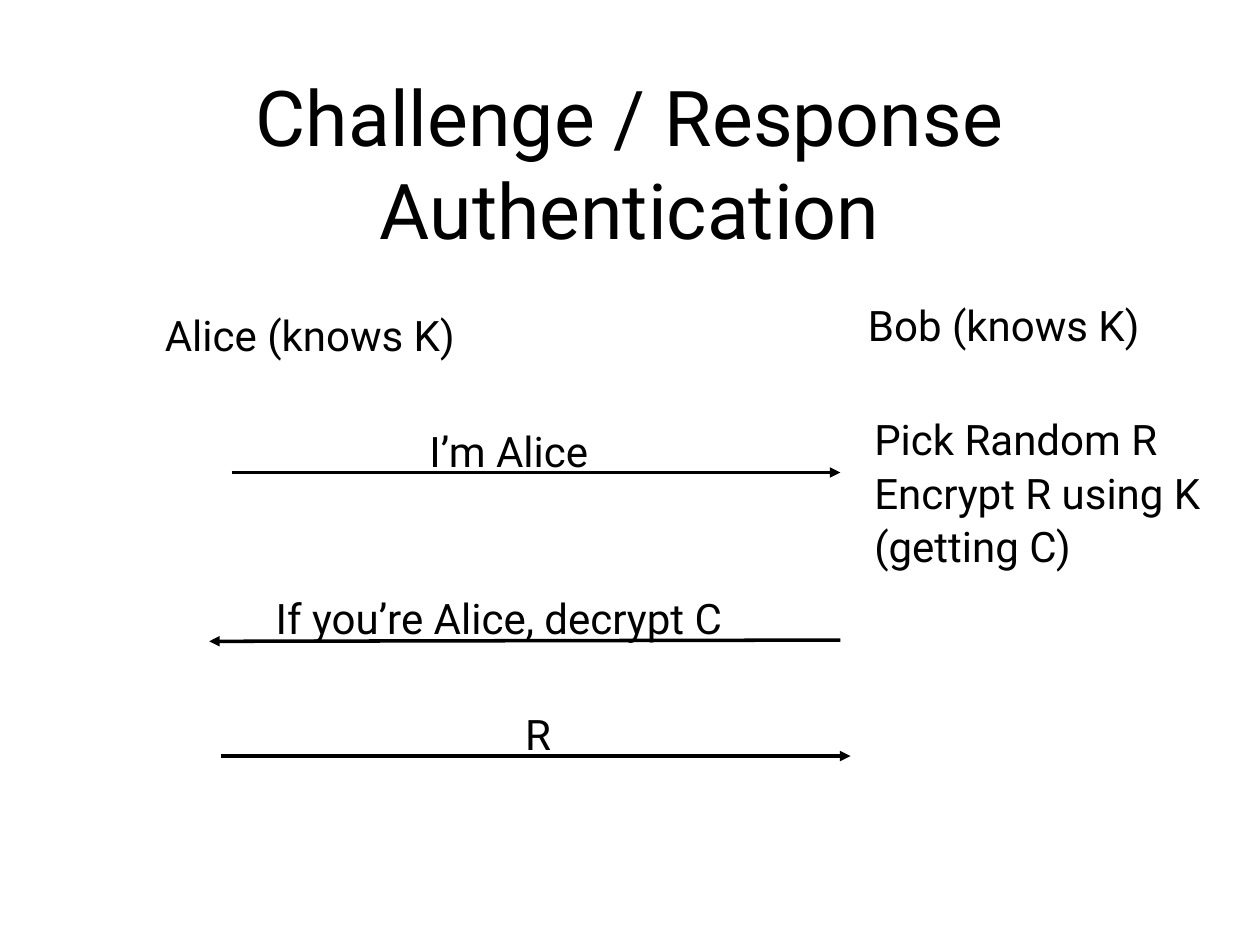
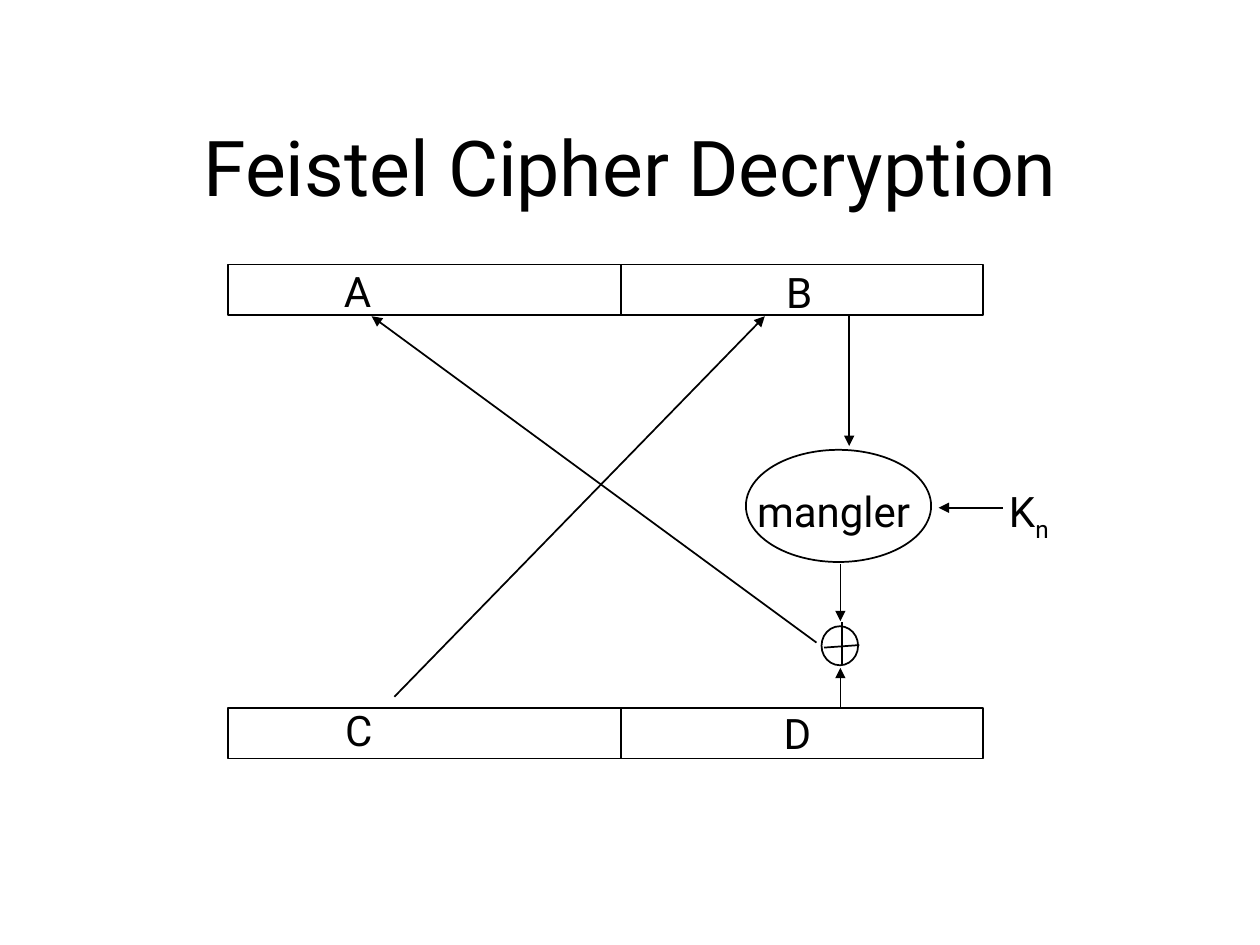
"""Build two slides on challenge/response authentication and Feistel decryption."""
from dataclasses import dataclass

from lxml.etree import SubElement
from pptx import Presentation
from pptx.dml.color import RGBColor
from pptx.enum.shapes import MSO_CONNECTOR as Connector, MSO_SHAPE as Shape
from pptx.enum.text import MSO_ANCHOR as Anchor, MSO_AUTO_SIZE as AutoSize, PP_ALIGN as Align
from pptx.oxml.ns import qn
from pptx.util import Inches, Pt


@dataclass(frozen=True)
class Theme:
    ink: RGBColor = RGBColor(0, 0, 0)
    font: str = "Roboto"
    title_size: int = 44
    label_size: int = 24
    thin: float = 1
    thick: float = 2
    first_spacing: float = 1.01
    next_spacing: float = 1.06


theme = Theme()


def write_text(frame, lines, size, align=None, **frame_format):
    """Fill a text frame with one paragraph per line."""
    for name, value in frame_format.items():
        setattr(frame, name, value)
    font_format = {"name": theme.font, "size": Pt(size), "bold": False}
    for index, line in enumerate(lines):
        para = frame.add_paragraph() if index else frame.paragraphs[0]
        para.text = line
        para.alignment = align
        para.line_spacing = theme.next_spacing if index else theme.first_spacing
        for span in para.runs:
            for name, value in font_format.items():
                setattr(span.font, name, value)
            span.font.color.rgb = theme.ink


def add_line(page, start, end, width, arrow=True):
    """Draw a straight line, with an arrowhead at its end if asked."""
    line = page.shapes.add_connector(Connector.STRAIGHT, *map(Inches, start + end))
    line.line.color.rgb = theme.ink
    line.line.width = Pt(width)
    properties = line._element.spPr
    if arrow:
        SubElement(properties.find(qn("a:ln")), qn("a:tailEnd"), type="triangle")
    SubElement(properties, qn("a:effectLst"))


deck = Presentation()
deck.slide_width, deck.slide_height = Inches(10), Inches(7.5)
title_only = deck.slide_layouts[5]

slide_texts = [
    ("Challenge / Response Authentication", (0.75, 0.48, 8.5, 1.61), [
        (["Alice (knows K)"], (1.21, 2.4, 2.52, 0.51)),
        (["Bob (knows K)"], (6.79, 2.32, 2.41, 0.51)),
        (["I’m Alice"], (3.31, 3.32, 1.85, 0.51)),
        (["Pick Random R", "Encrypt R using K", "(getting C)"], (6.84, 3.23, 2.92, 1.35)),
        (["If you’re Alice, decrypt C"], (2.09, 4.65, 3.96, 0.51)),
        (["R"], (4.07, 5.57, 0.41, 0.51)),
    ]),
    ("Feistel Cipher Decryption", (0.81, 0.7, 8.39, 1.23), [
        (["A"], (2.63, 2.05, 0.42, 0.51)),
        (["B"], (6.14, 2.06, 0.42, 0.51)),
        (["C"], (2.64, 5.54, 0.41, 0.51)),
        (["D"], (6.12, 5.56, 0.45, 0.51)),
        (["mangler"], (5.91, 3.8, 1.52, 0.51)),
        (["K"], (7.91, 3.8, 0.53, 0.56)),
    ]),
]

for heading, title_place, labels in slide_texts:
    page = deck.slides.add_slide(title_only)
    title = page.shapes.title
    for name, value in zip(("left", "top", "width", "height"), title_place):
        setattr(title, name, Inches(value))
    write_text(title.text_frame, [heading], theme.title_size, Align.CENTER,
               vertical_anchor=Anchor.MIDDLE, word_wrap=True, auto_size=AutoSize.NONE)
    for lines, place in labels:
        box = page.shapes.add_textbox(*map(Inches, place))
        write_text(box.text_frame, lines, theme.label_size,
                   word_wrap=False, auto_size=AutoSize.SHAPE_TO_FIT_TEXT)

key_para = box.text_frame.paragraphs[0]
subscript = key_para.add_run()
subscript.text = "n"
for name, value in {"name": theme.font, "size": Pt(theme.label_size)}.items():
    setattr(subscript.font, name, value)
subscript.font.color.rgb = theme.ink
subscript._r.get_or_add_rPr().set("baseline", "-25000")

protocol, cipher = deck.slides

messages = [
    ((1.84, 3.75), (6.67, 3.75)),
    ((6.67, 5.08), (1.66, 5.09)),
    ((1.75, 6), (6.75, 6)),
]
for start, end in messages:
    add_line(protocol, start, end, theme.thick)

block_left, block_width, block_height, block_middle = 1.81, 5.99, 0.4, 4.93
block_tops = (2.1, 5.62)
outlines = [(Shape.ROUNDED_RECTANGLE, (block_left, top, block_width, block_height))
            for top in block_tops]
outlines += [
    (Shape.OVAL, (5.92, 3.57, 1.47, 0.89)),
    (Shape.OVAL, (6.52, 4.97, 0.29, 0.31)),
]
for kind, place in outlines:
    outline = cipher.shapes.add_shape(kind, *map(Inches, place))
    outline.shadow.inherit = False
    outline.fill.background()
    outline.line.color.rgb = theme.ink
    outline.line.width = Pt(theme.thin)
    if kind == Shape.ROUNDED_RECTANGLE:
        outline.adjustments[0] = 0

dividers = [((block_middle, top), (block_middle, top + block_height)) for top in block_tops]
xor_cross = [((6.68, 4.94), (6.68, 5.27)), ((6.54, 5.14), (6.82, 5.12))]
for start, end in dividers + xor_cross:
    add_line(cipher, start, end, theme.thin, arrow=False)

data_flow = [
    ((3.13, 5.53), (6.07, 2.51)),
    ((6.74, 2.51), (6.74, 3.54)),
    ((7.96, 4.03), (7.45, 4.03)),
    ((6.67, 4.48), (6.67, 4.93)),
    ((6.48, 5.1), (2.95, 2.51)),
    ((6.67, 5.61), (6.67, 5.3)),
]
for start, end in data_flow:
    add_line(cipher, start, end, theme.thin)

deck.save("out.pptx")
